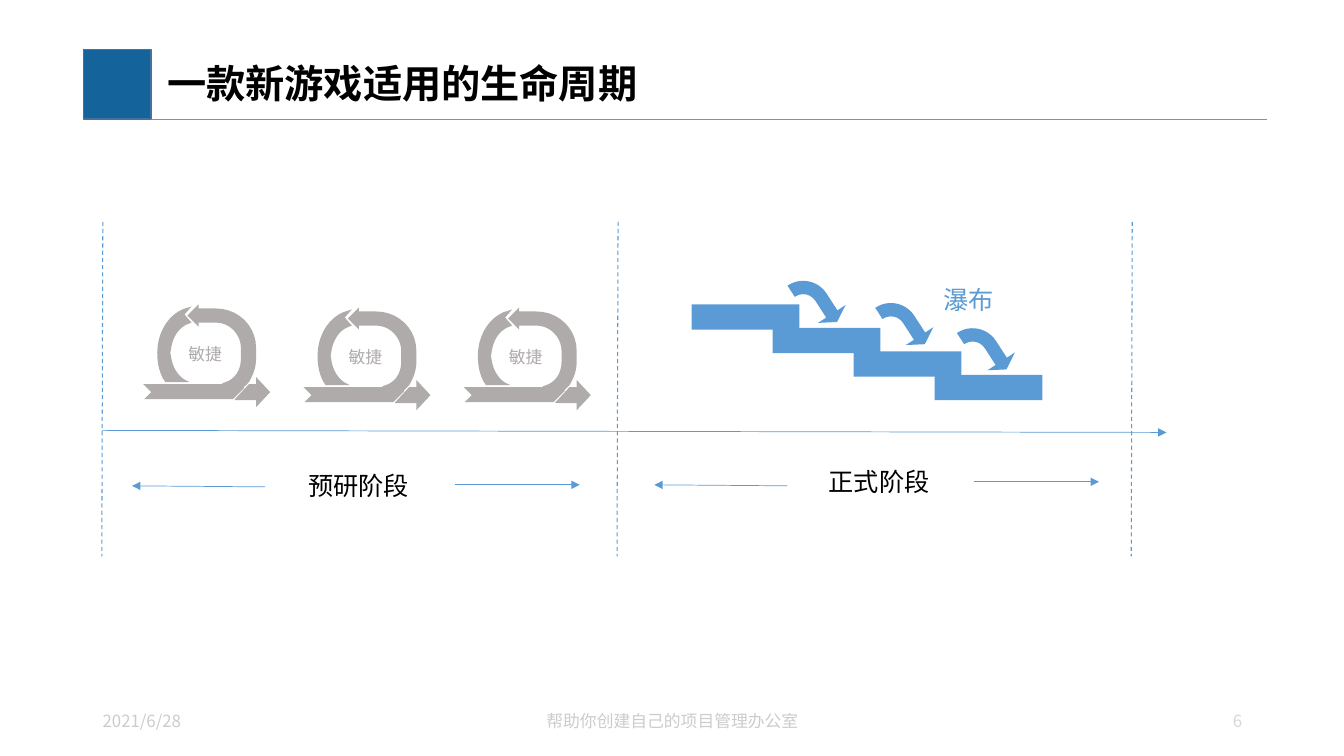
"""Build the slide on the life cycle that suits a new game."""
from dataclasses import dataclass

import lxml.etree
import pptx
import pptx.dml.color
import pptx.enum.dml
import pptx.enum.shapes
import pptx.enum.text
import pptx.oxml.ns
import pptx.util

Inches = pptx.util.Inches
RGBColor = pptx.dml.color.RGBColor
Align = pptx.enum.text.PP_ALIGN
Anchor = pptx.enum.text.MSO_ANCHOR
Preset = pptx.enum.shapes.MSO_SHAPE
qn = pptx.oxml.ns.qn

FONT = "Noto Sans CJK SC"
BLUE = RGBColor(0x5B, 0x9B, 0xD5)
BADGE_BLUE = RGBColor(0x15, 0x63, 0x9B)
BADGE_EDGE = RGBColor(0x43, 0x73, 0x9E)
LOOP_GRAY = RGBColor(0xAF, 0xAB, 0xAB)
FOOTER_GRAY = RGBColor(0xCC, 0xCC, 0xCC)
NUMBER_GRAY = RGBColor(0xD6, 0xD6, 0xD6)
BLACK = RGBColor(0, 0, 0)

CURVE_STEPS = 10


@dataclass(frozen=True)
class Label:
    text: str
    left: float
    top: float
    width: float
    height: float
    size: float
    color: RGBColor
    align: Align = Align.LEFT
    anchor: Anchor = Anchor.TOP
    wrap: bool = False
    bold: bool = False
    inset: float = 0.1
    spacing: float = 1.0


@dataclass(frozen=True)
class Rule:
    start: tuple[float, float]
    end: tuple[float, float]
    weight: float = 0.5
    dashed: bool = False
    arrow: bool = False


@dataclass(frozen=True)
class Block:
    preset: Preset
    left: float
    top: float
    width: float
    height: float
    fill: RGBColor = BLUE
    edge: RGBColor | None = None
    rotation: float = 0
    adjustments: tuple[float, ...] = ()


LOOP_CONTOURS: list[list[tuple[float, ...]]] = [
    [(2.54, 3.74), (2.68, 3.89), (2.54, 4.04), (2.54, 3.97), (2.33, 3.97),
     (2.33, 3.96), (2.34, 3.95), (2.47, 3.81), (2.54, 3.81)],
    [(1.9, 3.04), (1.83, 3.12), (1.9, 3.2), (1.85, 3.22),
     (1.77, 3.26, 1.72, 3.34, 1.7, 3.44), (1.69, 3.5), (1.7, 3.56),
     (1.72, 3.66, 1.78, 3.75, 1.86, 3.78), (1.88, 3.79), (1.64, 3.79),
     (1.62, 3.76), (1.58, 3.69, 1.56, 3.6, 1.56, 3.5),
     (1.56, 3.28, 1.69, 3.09, 1.87, 3.05)],
    [(1.97, 3.02), (1.97, 3.06), (2.14, 3.06),
     (2.36, 3.06, 2.54, 3.23, 2.54, 3.45), (2.54, 3.56),
     (2.54, 3.65, 2.51, 3.72, 2.47, 3.79), (2.46, 3.8), (2.44, 3.82),
     (2.42, 3.84), (2.42, 3.85), (2.31, 3.96), (1.43, 3.96), (1.5, 3.89),
     (1.42, 3.81), (2.14, 3.81), (2.2, 3.81), (2.21, 3.8), (2.24, 3.79),
     (2.33, 3.76, 2.39, 3.67, 2.39, 3.56), (2.39, 3.45),
     (2.39, 3.32, 2.28, 3.2, 2.14, 3.2), (1.97, 3.2), (1.97, 3.24),
     (1.86, 3.13)],
]
LOOP_OFFSETS = [(0, 0), (1.59, 0.03), (3.18, 0.03)]

HEADER_BADGE = Block(Preset.RECTANGLE, 0.83, 0.49, 0.67, 0.69, BADGE_BLUE, BADGE_EDGE)
STAIRS = [Block(Preset.RECTANGLE, 6.86 + 0.803 * step, 3.02 + 0.233 * step, 1.07, 0.25)
          for step in range(4)]
FALLS = [Block(Preset.BENT_ARROW, left, top, 0.57, 0.38, rotation=57.1,
               adjustments=(0.349, 0.43, 0.25, 0.728))
         for left, top in [(7.84, 2.78), (8.71, 3), (9.52, 3.25)]]

HEADER_RULE = Rule((1.5, 1.18), (12.57, 1.18))
TIMELINE = Rule((1.01, 4.27), (11.57, 4.29), arrow=True)
PHASE_BORDERS = [Rule((x, 2.2), (x - 0.01, 5.52), 0.75, dashed=True)
                 for x in (1.02, 11.23, 6.13)]
PHASE_SPANS = [Rule(start, end, arrow=True) for start, end in [
    ((2.63, 4.83), (1.31, 4.82)), ((7.81, 4.82), (6.49, 4.81)),
    ((4.51, 4.81), (5.75, 4.81)), ((9.66, 4.78), (10.9, 4.78))]]

HEADER_AND_FOOTER = [
    Label("一款新游戏适用的生命周期", 1.5, 0.5, 11.07, 0.7, 28, BLACK,
          anchor=Anchor.MIDDLE, wrap=True, bold=True, inset=0.16, spacing=0.9),
    Label("2021/6/28", 0.92, 6.95, 3, 0.4, 12, FOOTER_GRAY,
          anchor=Anchor.MIDDLE, wrap=True),
    Label("帮助你创建自己的项目管理办公室", 4.42, 6.95, 4.5, 0.4, 12, FOOTER_GRAY,
          Align.CENTER, Anchor.MIDDLE, True),
    Label("6", 9.66, 6.94, 2.76, 0.42, 12, NUMBER_GRAY,
          Align.RIGHT, Anchor.MIDDLE, True),
]
PHASE_NAMES = [
    Label("预研阶段", 2.96, 4.62, 1.21, 0.4, 18, BLACK),
    Label("正式阶段", 8.12, 4.58, 1.21, 0.4, 18, BLACK),
]
WATERFALL_NAME = Label("瀑布", 9.26, 2.77, 0.71, 0.4, 18, BLUE)


def draw_label(shapes, label: Label) -> None:
    box = shapes.add_textbox(Inches(label.left), Inches(label.top),
                             Inches(label.width), Inches(label.height))
    frame = box.text_frame
    frame.word_wrap = label.wrap
    if not label.wrap:
        frame.auto_size = pptx.enum.text.MSO_AUTO_SIZE.SHAPE_TO_FIT_TEXT
    frame.vertical_anchor = label.anchor
    frame.margin_left = Inches(label.inset)
    paragraph = frame.paragraphs[0]
    paragraph.alignment = label.align
    paragraph.line_spacing = label.spacing
    run = paragraph.add_run()
    run.text = label.text
    run.font.size = pptx.util.Pt(label.size)
    run.font.bold = label.bold
    run.font.color.rgb = label.color
    run.font.name = FONT
    lxml.etree.SubElement(run._r.get_or_add_rPr(), qn("a:ea"), typeface=FONT)


def draw_rule(shapes, rule: Rule) -> None:
    connector = shapes.add_connector(pptx.enum.shapes.MSO_CONNECTOR.STRAIGHT,
                                     *map(Inches, rule.start + rule.end))
    connector.line.color.rgb = BLUE
    connector.line.width = pptx.util.Pt(rule.weight)
    if rule.dashed:
        connector.line.dash_style = pptx.enum.dml.MSO_LINE.DASH
    if rule.arrow:
        lxml.etree.SubElement(connector.get_or_add_ln(), qn("a:tailEnd"), type="triangle")
    lxml.etree.SubElement(connector.element.spPr, qn("a:effectLst"))


def paint(shape, fill: RGBColor, edge: RGBColor | None = None) -> None:
    shape.shadow.inherit = False
    shape.fill.solid()
    shape.fill.fore_color.rgb = fill
    if edge is None:
        shape.line.fill.background()
    else:
        shape.line.color.rgb = edge
        shape.line.width = pptx.util.Pt(1)


def draw_block(shapes, block: Block) -> None:
    shape = shapes.add_shape(block.preset, Inches(block.left), Inches(block.top),
                             Inches(block.width), Inches(block.height))
    shape.rotation = block.rotation
    for index, value in enumerate(block.adjustments):
        shape.adjustments[index] = value
    paint(shape, block.fill, block.edge)


def flatten(contour: list[tuple[float, ...]]) -> list[tuple[float, float]]:
    points = [contour[0]]
    for step in contour[1:]:
        if len(step) == 2:
            points.append(step)
            continue
        controls = (points[-1], step[:2], step[2:4], step[4:])
        for t in (n / CURVE_STEPS for n in range(1, CURVE_STEPS + 1)):
            weights = ((1 - t) ** 3, 3 * t * (1 - t) ** 2, 3 * t * t * (1 - t), t ** 3)
            points.append(tuple(sum(w * c[axis] for w, c in zip(weights, controls))
                                for axis in (0, 1)))
    return points


def draw_loop(shapes, dx: float, dy: float) -> None:
    contours = [[(Inches(x + dx), Inches(y + dy)) for x, y in flatten(contour)]
                for contour in LOOP_CONTOURS]
    outline = shapes.build_freeform(*contours[0][0])
    outline.add_line_segments(contours[0][1:], close=True)
    for contour in contours[1:]:
        outline.move_to(*contour[0])
        outline.add_line_segments(contour[1:], close=True)
    paint(outline.convert_to_shape(), LOOP_GRAY)
    draw_label(shapes, Label("敏捷", 1.77 + dx, 3.36 + dy, 0.54, 0.3, 12, LOOP_GRAY))


def main() -> None:
    deck = pptx.Presentation()
    deck.slide_width, deck.slide_height = Inches(13.33), Inches(7.5)
    shapes = deck.slides.add_slide(deck.slide_layouts[6]).shapes
    draw_block(shapes, HEADER_BADGE)
    draw_rule(shapes, HEADER_RULE)
    for label in HEADER_AND_FOOTER:
        draw_label(shapes, label)
    for rule in [TIMELINE, *PHASE_BORDERS, *PHASE_SPANS]:
        draw_rule(shapes, rule)
    for label in PHASE_NAMES:
        draw_label(shapes, label)
    for dx, dy in LOOP_OFFSETS:
        draw_loop(shapes, dx, dy)
    for block in STAIRS + FALLS:
        draw_block(shapes, block)
    draw_label(shapes, WATERFALL_NAME)
    deck.save("out.pptx")


if __name__ == "__main__":
    main()
